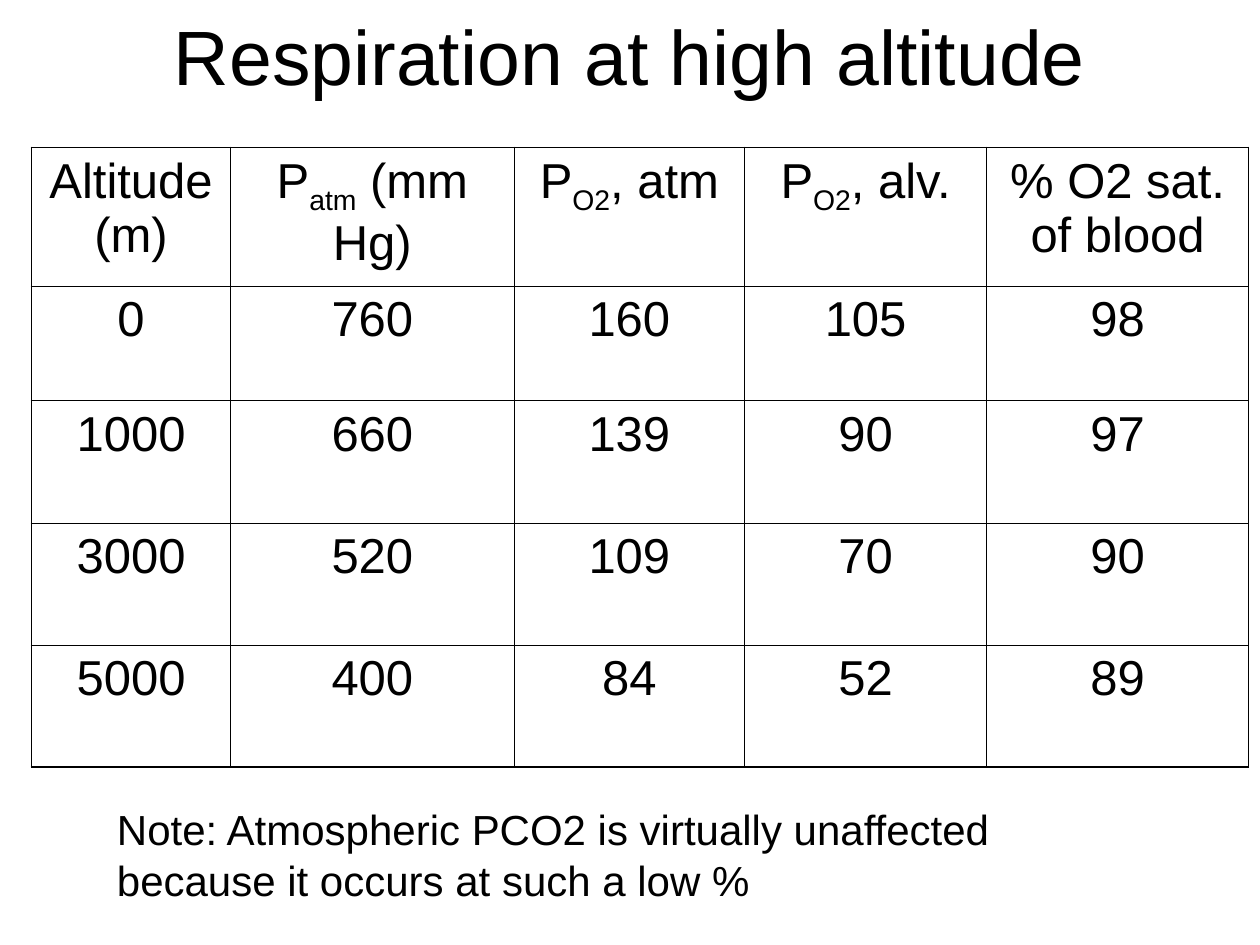
"""Build the slide on respiration at high altitude."""
from typing import NamedTuple

from lxml.etree import SubElement
from pptx import Presentation
from pptx.dml.color import RGBColor
from pptx.enum.text import MSO_ANCHOR, MSO_AUTO_SIZE, PP_ALIGN
from pptx.oxml.ns import qn
from pptx.util import Inches, Pt

COLORS = {"ink": "000000"}
THIN, THICK = 0.45, 1.08
COLUMN_WIDTHS = (1.58, 2.25, 1.83, 1.92, 2.08)
ROW_HEIGHTS = (1.1, 0.91, 0.97, 0.97, 0.97)
HEADINGS = ("Altitude (m)", "P_atm_ (mm Hg)", "P_O2_, atm", "P_O2_, alv.", "% O2 sat. of blood")


class Reading(NamedTuple):
    altitude: int
    atmospheric: int
    oxygen_atm: int
    oxygen_alv: int
    saturation: int


READINGS = (
    Reading(0, 760, 160, 105, 98),
    Reading(1000, 660, 139, 90, 97),
    Reading(3000, 520, 109, 70, 90),
    Reading(5000, 400, 84, 52, 89),
)


def write(frame, text: str, size: float, align: PP_ALIGN, before: float = 0) -> None:
    """Write one paragraph, lowering the parts between underscores."""
    paragraph = frame.paragraphs[0]
    paragraph.alignment = align
    paragraph.space_before = Pt(before)
    paragraph.font.name = "Arial"
    paragraph.font.size = Pt(size)
    paragraph.font.color.rgb = RGBColor.from_string(COLORS["ink"])
    for index, part in enumerate(text.split("_")):
        run = paragraph.add_run()
        run.text = part
        if index % 2:
            run._r.get_or_add_rPr().set("baseline", "-25000")


def add_borders(cell, row: int, column: int) -> None:
    """Rule a cell: thick outside, thin inside, thick beside the end rows' last cell."""
    last_row, last_column = len(ROW_HEIGHTS) - 1, len(COLUMN_WIDTHS) - 1
    end_row = row in (0, last_row)
    thick = {
        "lnL": column == 0 or (end_row and column == last_column),
        "lnR": column == last_column or (end_row and column == last_column - 1),
        "lnT": row == 0,
        "lnB": row == last_row,
    }
    properties = cell._tc.get_or_add_tcPr()
    for side, is_thick in thick.items():
        width = Pt(THICK if is_thick else THIN)
        border = SubElement(properties, qn(f"a:{side}"), w=str(width))
        fill = SubElement(border, qn("a:solidFill"))
        SubElement(fill, qn("a:srgbClr"), val=COLORS["ink"])


def add_readings_table(slide) -> None:
    """Add the table of pressures and saturation by altitude."""
    table = slide.shapes.add_table(
        len(ROW_HEIGHTS), len(COLUMN_WIDTHS), Inches(0.25), Inches(1.17),
        Inches(sum(COLUMN_WIDTHS)), Inches(sum(ROW_HEIGHTS)),
    ).table
    table.first_row = table.horz_banding = False
    for column, width in zip(table.columns, COLUMN_WIDTHS):
        column.width = Inches(width)
    for row, height in zip(table.rows, ROW_HEIGHTS):
        row.height = Inches(height)
    for row, values in enumerate((HEADINGS, *READINGS)):
        for column, value in enumerate(values):
            cell = table.cell(row, column)
            write(cell.text_frame, str(value), 28, PP_ALIGN.CENTER, before=7)
            add_borders(cell, row, column)
            cell.fill.background()


def main() -> None:
    """Build and save the slide."""
    presentation = Presentation()
    presentation.slide_width, presentation.slide_height = Inches(10), Inches(7.5)
    slide = presentation.slides.add_slide(presentation.slide_layouts[5])

    title = slide.shapes.title
    title.left, title.top = Inches(0.5), Inches(0)
    title.width, title.height = Inches(9), Inches(0.87)
    title.text_frame.vertical_anchor = MSO_ANCHOR.MIDDLE
    write(title.text_frame, "Respiration at high altitude", 44, PP_ALIGN.CENTER)

    add_readings_table(slide)

    note = slide.shapes.add_textbox(Inches(0.83), Inches(6.33), Inches(7.42), Inches(0.9)).text_frame
    note.word_wrap = True
    note.auto_size = MSO_AUTO_SIZE.SHAPE_TO_FIT_TEXT
    write(
        note,
        "Note: Atmospheric PCO2 is virtually unaffected because it occurs at such a low %",
        24, PP_ALIGN.LEFT, before=15,
    )
    presentation.save("out.pptx")


if __name__ == "__main__":
    main()
